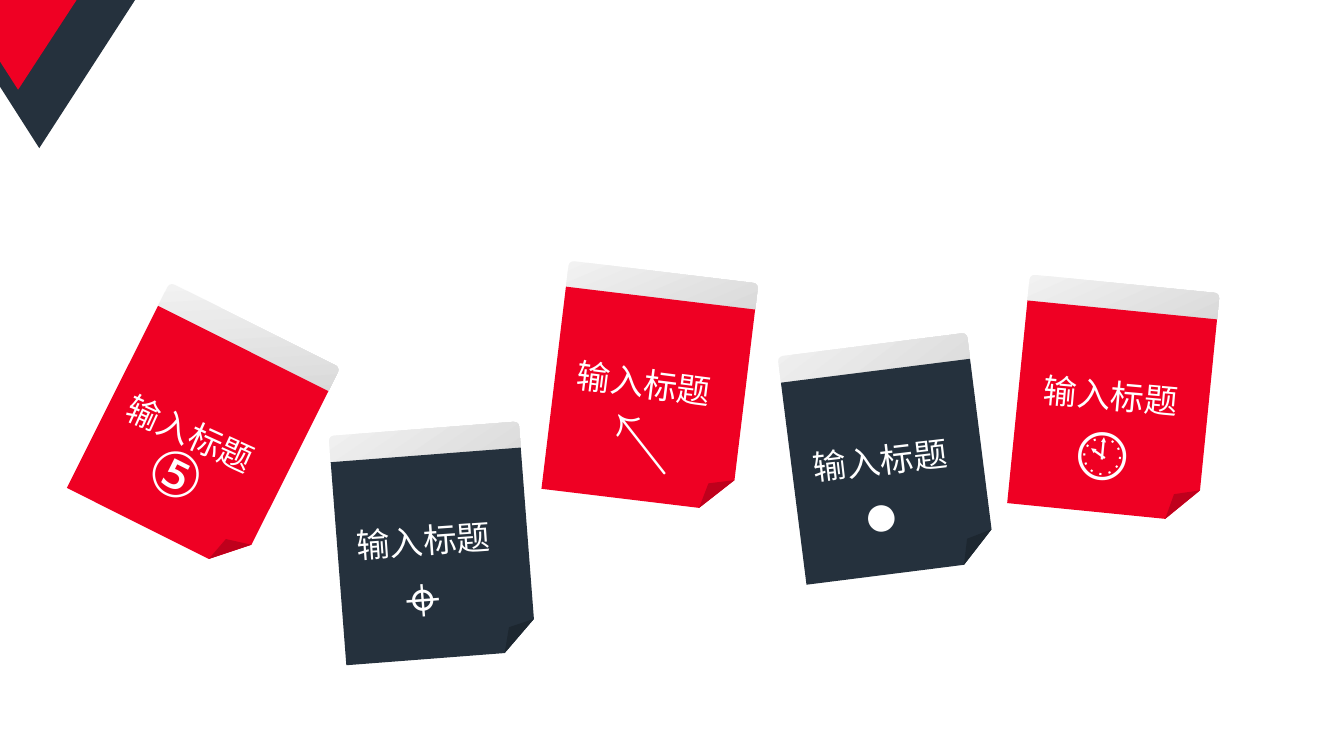
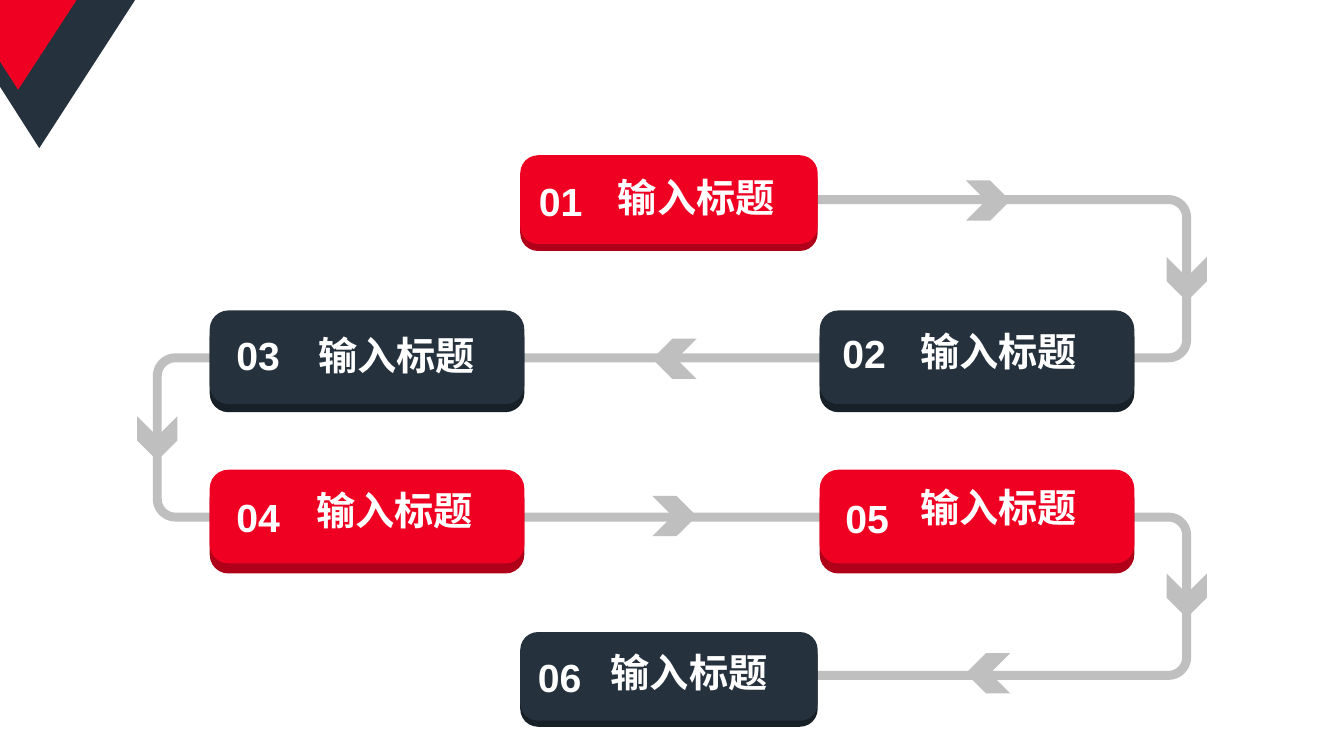
import math
from dataclasses import dataclass

from lxml import etree
from pptx import Presentation
from pptx import util as u
from pptx.dml.color import RGBColor
from pptx.enum import lang, shapes, text
from pptx.oxml import ns


@dataclass(frozen=True)
class Theme:
    red: str = "EF0023"
    deep_red: str = "B00019"
    navy: str = "25313D"
    deep_navy: str = "171F27"
    track: str = "BFBFBF"
    tape_light: str = "F2F2F2"
    tape_dark: str = "D9D9D9"
    white: str = "FFFFFF"
    font: str = "Arial"
    note_size: int = 24
    step_size: int = 28
    icon_size: int = 44


THEME = Theme()
TITLE = "输入标题"
SHADES = {THEME.red: THEME.deep_red, THEME.navy: THEME.deep_navy}

PAGE_SIZE = (1.89, 2.02)
TAPE_SIZE = (1.89, 0.3)
ICON_SIZE = (0.82, 0.84)
NOTE_TITLE_SIZE = (1.55, 0.5)
TAPE_OFFSET = -1.12
ICON_OFFSET = 0.39

# icon, colour, page centre, page angle, title centre, title angle
NOTES = [
    ("⑤", THEME.red, (1.96, 4.36), 26.6, (1.9, 4.3), 24.4),
    ("⌖", THEME.navy, (4.3, 5.52), -4.4, (4.21, 5.36), -4),
    ("↖", THEME.red, (6.43, 3.96), 6.9, (6.4, 3.8), 7.3),
    ("●", THEME.navy, (8.81, 4.68), -7.2, (8.74, 4.56), -6.7),
    ("🕙", THEME.red, (11.03, 4.08), 5.7, (11.03, 3.92), 5.1),
]

SMALL_STEP = (2.95, 0.88)
LARGE_STEP = (3.12, 0.93)
# colour, corner, size, depth of the lower edge, number corner, title corner
STEPS = [
    (THEME.red, (5.16, 1.54), SMALL_STEP, 0.07, (5.17, 1.71), (6.03, 1.67)),
    (THEME.navy, (8.13, 3.08), LARGE_STEP, 0.08, (8.18, 3.22), (9.03, 3.2)),
    (THEME.navy, (2.08, 3.08), LARGE_STEP, 0.08, (2.17, 3.24), (3.06, 3.24)),
    (THEME.red, (2.08, 4.66), LARGE_STEP, 0.1, (2.17, 4.84), (3.04, 4.78)),
    (THEME.red, (8.13, 4.66), LARGE_STEP, 0.1, (8.21, 4.85), (9.03, 4.75)),
    (THEME.navy, (5.16, 6.27), SMALL_STEP, 0.06, (5.16, 6.43), (5.96, 6.38)),
]

LEFT, RIGHT = 1.56, 11.77
ROWS = (1.98, 3.55, 5.13, 6.7)
TRACK = [(6.97, ROWS[0]), (RIGHT, ROWS[0]), (RIGHT, ROWS[1]), (LEFT, ROWS[1]),
         (LEFT, ROWS[2]), (RIGHT, ROWS[2]), (RIGHT, ROWS[3]), (6.53, ROWS[3])]
TRACK_RADIUS = 0.18
# centre and angle
CHEVRONS = [
    ((9.8, 1.99), 0), ((RIGHT, 2.77), 90), ((6.69, 3.56), 180),
    ((LEFT, 4.35), 90), ((6.69, 5.12), 0), ((RIGHT, 5.91), 90),
    ((9.8, 6.68), 180),
]


def color(value):
    return RGBColor.from_string(value)


def inches(*values):
    return [u.Inches(value) for value in values]


def set_attributes(target, values):
    for name, value in values.items():
        setattr(target, name, value)


def corner_of(center, size):
    return center[0] - size[0] / 2, center[1] - size[1] / 2


def offset_down(center, distance, angle):
    """Move a centre along the downward axis of an object turned by angle."""
    turn = math.radians(angle)
    return (center[0] - distance * math.sin(turn),
            center[1] + distance * math.cos(turn))


def paint(shape, fill):
    shape.shadow.inherit = False
    shape.line.fill.background()
    shape.fill.solid()
    shape.fill.fore_color.rgb = color(fill)


def add_preset(slide, kind, corner, size, fill, angle=0):
    shape = slide.shapes.add_shape(kind, *inches(*corner, *size))
    paint(shape, fill)
    shape.rotation = angle
    return shape


def add_outline(slide, points, closed=True):
    start, *others = [inches(*point) for point in points]
    builder = slide.shapes.build_freeform(*start)
    builder.add_line_segments(others, close=closed)
    return builder.convert_to_shape()


def add_text(slide, words, corner, size, points, angle=0, bold=False,
             wrap=False, align=None):
    box = slide.shapes.add_textbox(*inches(*corner, *size))
    box.rotation = angle
    set_attributes(box.text_frame, {
        "word_wrap": wrap, "auto_size": text.MSO_AUTO_SIZE.SHAPE_TO_FIT_TEXT})
    paragraph = box.text_frame.paragraphs[0]
    paragraph.alignment = align
    run = paragraph.add_run()
    run.text = words
    set_attributes(run.font, {
        "name": THEME.font, "size": u.Pt(points), "bold": bold,
        "language_id": lang.MSO_LANGUAGE_ID.SIMPLIFIED_CHINESE})
    run.font.color.rgb = color(THEME.white)
    etree.SubElement(run._r.get_or_add_rPr(), ns.qn("a:ea"),
                     typeface=THEME.font)


def add_corner_mark(slide, layout):
    """Put the two-colour corner on the layout that all slides share."""
    for placeholder in list(layout.placeholders):
        layout.shapes.element.remove(placeholder.element)
    for points, fill in (
        ([(0.39, 1.47), (1.34, 0), (0, 0), (0, 0.86)], THEME.navy),
        ([(0, 0.61), (0.18, 0.89), (0.76, 0), (0, 0)], THEME.red),
    ):
        shape = add_outline(slide, points)
        paint(shape, fill)
        layout.shapes.element.append(shape.element)


def add_note(slide, icon, fill, center, angle, title_center, title_angle):
    tape_center = offset_down(center, TAPE_OFFSET, angle)
    tape = add_preset(slide, shapes.MSO_SHAPE.ROUNDED_RECTANGLE,
                      corner_of(tape_center, TAPE_SIZE), TAPE_SIZE,
                      THEME.tape_light, angle)
    tape.fill.gradient()
    tape.fill.gradient_angle = 300
    tape_colors = (THEME.tape_light, THEME.tape_dark)
    for stop, value in zip(tape.fill.gradient_stops, tape_colors):
        stop.color.rgb = color(value)
    add_preset(slide, shapes.MSO_SHAPE.FOLDED_CORNER,
               corner_of(center, PAGE_SIZE), PAGE_SIZE, fill, angle)
    icon_center = offset_down(center, ICON_OFFSET, angle)
    add_text(slide, icon, corner_of(icon_center, ICON_SIZE), ICON_SIZE,
             THEME.icon_size, angle)
    add_text(slide, TITLE, corner_of(title_center, NOTE_TITLE_SIZE),
             NOTE_TITLE_SIZE, THEME.note_size, title_angle)


def rounded_route(points, radius, pieces=10):
    """Replace each inner corner of a route by a quarter circle."""
    route = [points[0]]
    for before, bend, after in zip(points, points[1:], points[2:]):
        enter, leave = (
            [(end - start) / math.dist(first, last)
             for start, end in zip(first, last)]
            for first, last in ((before, bend), (bend, after)))
        for piece in range(pieces + 1):
            turn = math.pi / 2 * piece / pieces
            route.append(tuple(
                bend[axis] + radius * (enter[axis] * (math.sin(turn) - 1)
                                       + leave[axis] * (1 - math.cos(turn)))
                for axis in (0, 1)))
    return route + [points[-1]]


def add_track(slide):
    track = add_outline(slide, rounded_route(TRACK, TRACK_RADIUS), closed=False)
    track.shadow.inherit = False
    track.fill.background()
    track.line.color.rgb = color(THEME.track)
    track.line.width = u.Pt(6.38)
    size = (0.44, 0.4)
    for center, angle in CHEVRONS:
        add_preset(slide, shapes.MSO_SHAPE.CHEVRON, corner_of(center, size),
                   size, THEME.track, angle)


def add_step(slide, number, fill, corner, size, depth, number_corner,
             title_corner):
    left, top = corner
    for y, shade in ((top + depth, SHADES[fill]), (top, fill)):
        button = add_preset(slide, shapes.MSO_SHAPE.ROUNDED_RECTANGLE,
                            (left, y), size, shade)
        button.adjustments[0] = 0.2
    add_text(slide, f"{number:02}", number_corner, (0.78, 0.57),
             THEME.step_size, bold=True, wrap=True,
             align=text.PP_ALIGN.CENTER)
    add_text(slide, TITLE, title_corner, (1.78, 0.57), THEME.step_size,
             bold=True)


def main():
    presentation = Presentation()
    set_attributes(presentation, {"slide_width": u.Inches(13.33),
                                  "slide_height": u.Inches(7.5)})
    layout = presentation.slide_layouts.get_by_name("Blank")
    notes_slide, steps_slide = (
        presentation.slides.add_slide(layout) for _ in range(2))
    add_corner_mark(notes_slide, layout)
    for note in NOTES:
        add_note(notes_slide, *note)
    add_track(steps_slide)
    for number, step in enumerate(STEPS, 1):
        add_step(steps_slide, number, *step)
    presentation.save("out.pptx")


if __name__ == "__main__":
    main()
